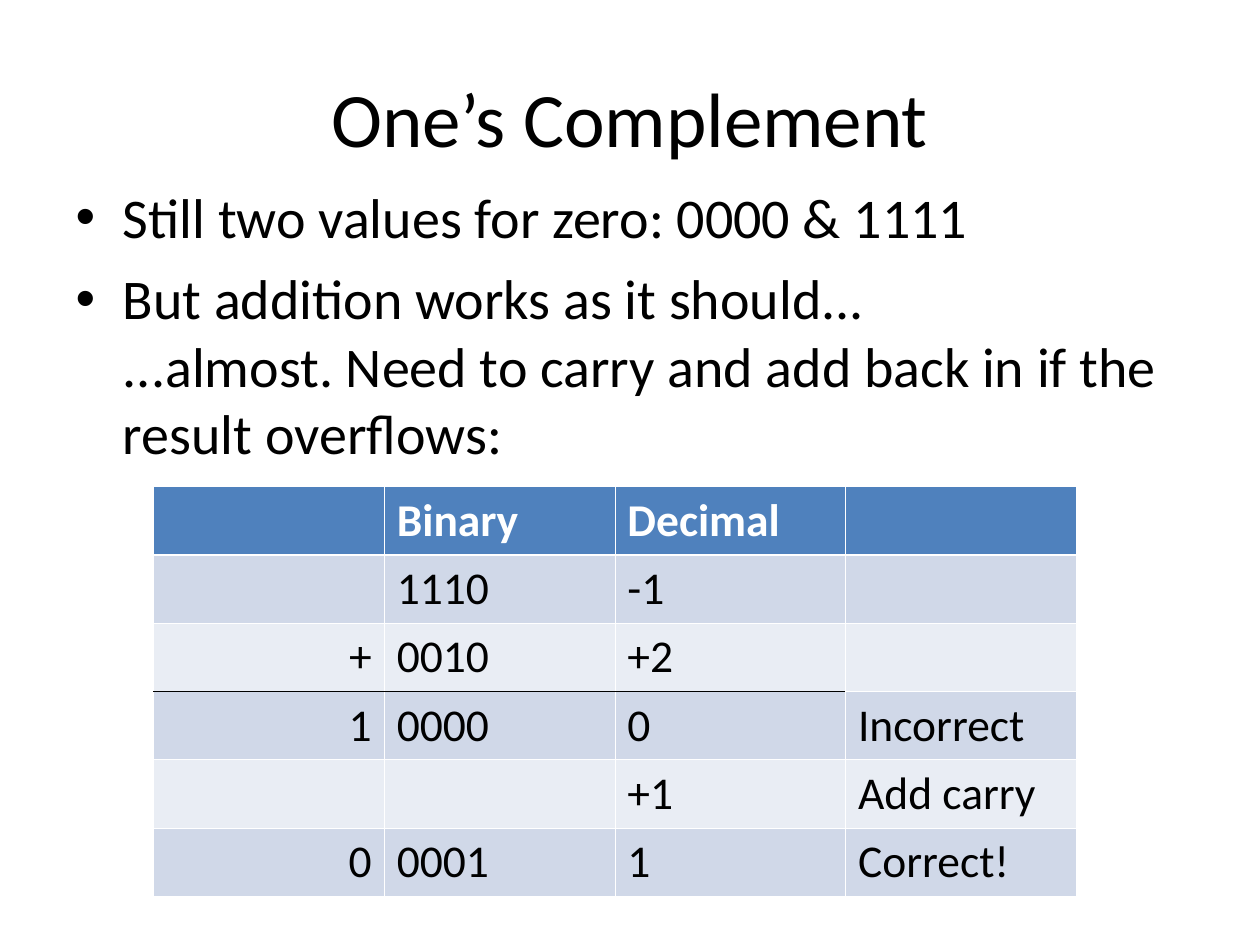
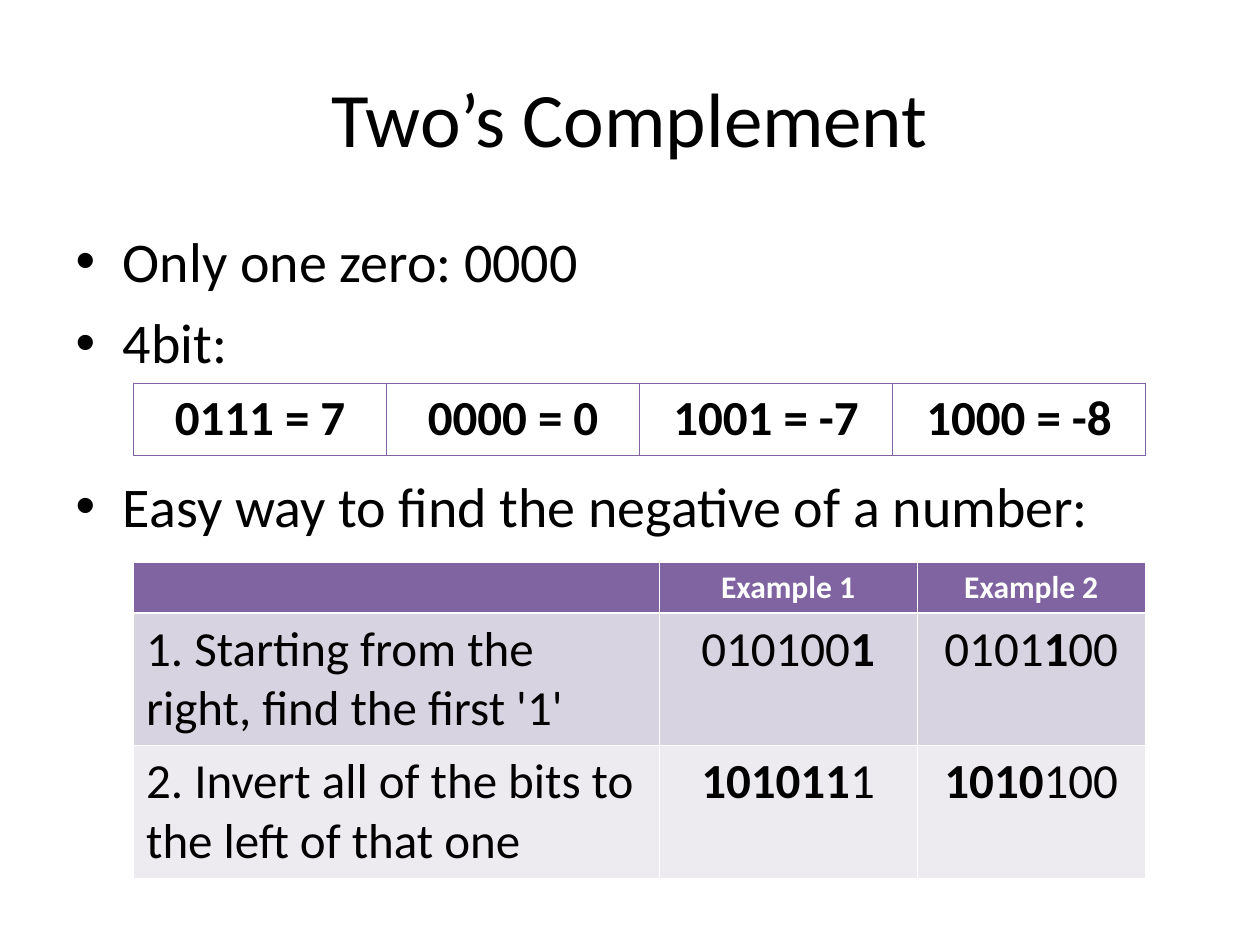
from lxml import etree
from pptx import Presentation
from pptx.dml.color import RGBColor
from pptx.enum.text import MSO_ANCHOR, MSO_AUTO_SIZE, PP_ALIGN as Align
from pptx.oxml.ns import qn
from pptx.util import Inches, Pt

COLORS = {
    "text": "000000", "white": "FFFFFF",
    "blue": "4F81BD", "blue_mid": "D0D8E8", "blue_pale": "E9EDF4",
    "purple": "8064A2", "purple_mid": "D8D3E0", "purple_pale": "EDEAF0",
}
FONT = "Calibri"
THIN, MEDIUM, THICK = 0.45, 0.96, 1.47

presentation = Presentation()
presentation.slide_width, presentation.slide_height = Inches(10), Inches(7.5)
# The slide is a grid of 100 columns and 100 rows
COLUMN = presentation.slide_width / 100
ROW = presentation.slide_height / 100


def style_runs(paragraph, size, color="text", bold=False):
    for run in paragraph.runs:
        run.font.name, run.font.size, run.font.bold = FONT, Pt(size), bold
        run.font.color.rgb = RGBColor.from_string(COLORS[color])


def add_grid(slide, left, top, widths, heights, texts, looks, aligns, borders):
    """Draw a table; looks gives (size, text colour, bold, fill) for each row,
    borders(row, column) gives (colour, width) by side, and *x* marks bold text."""
    table = slide.shapes.add_table(
        len(heights), len(widths), int(left * COLUMN), int(top * ROW),
        int(sum(widths) * COLUMN), int(sum(heights) * ROW)).table
    table.first_row = table.horz_banding = False
    for column, width in zip(table.columns, widths):
        column.width = int(width * COLUMN)
    for r, (height, (size, color, bold, fill)) in enumerate(zip(heights, looks)):
        table.rows[r].height = int(height * ROW)
        for c, align in enumerate(aligns):
            cell = table.cell(r, c)
            sides = borders(r, c)
            properties = cell._tc.get_or_add_tcPr()
            for side in "LRTB":
                line_color, width = sides[side]
                line = etree.SubElement(properties, qn(f"a:ln{side}"), w=str(Pt(width)))
                solid = etree.SubElement(line, qn("a:solidFill"))
                etree.SubElement(solid, qn("a:srgbClr"), val=COLORS[line_color])
            if fill:
                cell.fill.solid()
                cell.fill.fore_color.rgb = RGBColor.from_string(COLORS[fill])
            else:
                cell.fill.background()
            paragraph = cell.text_frame.paragraphs[0]
            paragraph.alignment = align
            pieces = [(i, piece) for i, piece in enumerate(texts[r][c].split("*")) if piece]
            for _, piece in pieces:
                paragraph.add_run().text = piece
            style_runs(paragraph, size, color, bold)
            for run, (i, _) in zip(paragraph.runs, pieces):
                run.font.bold = bold or i % 2 == 1


# Titles and lists: title, top row of the list, (item, space before)
outlines = [
    ("One’s Complement", 18.67, [
        ("Still two values for zero: 0000 & 1111", 0),
        ("But addition works as it should...\v...almost. "
         "Need to carry and add back in if the result overflows:", 8)]),
    ("Two’s Complement", 23.33, [
        ("Only one zero: 0000", 0),
        ("4bit:", 8),
        ("Easy way to find the negative of a number:", 55)]),
]
slides = []
for heading, list_top, items in outlines:
    slide = presentation.slides.add_slide(presentation.slide_layouts[1])
    slides.append(slide)
    title, body = slide.shapes.title, slide.placeholders[1]
    for shape, top, height in ((title, 4, 16.67), (body, list_top, 66)):
        shape.left, shape.width = int(5 * COLUMN), int(90 * COLUMN)
        shape.top, shape.height = int(top * ROW), int(height * ROW)
        shape.text_frame.auto_size = MSO_AUTO_SIZE.NONE
    title.text_frame.text = heading
    title.text_frame.vertical_anchor = MSO_ANCHOR.MIDDLE
    title.text_frame.paragraphs[0].alignment = Align.CENTER
    style_runs(title.text_frame.paragraphs[0], 44)
    body.text_frame.text = "\n".join(item for item, _ in items)
    for paragraph, (_, space) in zip(body.text_frame.paragraphs, items):
        paragraph.space_before = Pt(space)
        style_runs(paragraph, 32)
ones_slide, twos_slide = slides


def white_borders(row, column):
    """White lines, thicker under the header row."""
    sides = dict.fromkeys("LRTB", ("white", THIN))
    if row < 2:
        sides["B" if row == 0 else "T"] = ("white", THICK)
    return sides


# One's complement: addition with a sum line under the second operand
addition = [
    ["", "Binary", "Decimal", ""],
    ["", "1110", "-1", ""],
    ["+", "0010", "+2", ""],
    ["1", "0000", "0", "Incorrect"],
    ["", "", "+1", "Add carry"],
    ["0", "0001", "1", "Correct!"],
]
sum_line = {2: {"B": ("text", THIN)}, 3: {"T": ("text", THIN)}}
addition_looks = [(26, "white", True, "blue")] + [
    (26, "text", False, "blue_mid" if row % 2 else "blue_pale") for row in range(1, 6)]
add_grid(ones_slide, 12.2, 51.47, [18.3] * 4, [7.2] * 6, addition, addition_looks,
         [Align.RIGHT] + [Align.LEFT] * 3,
         lambda row, column: white_borders(row, column)
         | (sum_line.get(row, {}) if column < 3 else {}))

# Two's complement: sample values, then the steps of negation
samples = [["0111 = 7", "0000 = 0", "1001 = -7", "1000 = -8"]]
add_grid(twos_slide, 10.6, 40.53, [20.08] * 4, [7.6], samples,
         [(28, "text", True, None)], [Align.CENTER] * 4,
         lambda row, column: dict.fromkeys("LRT", ("purple", THIN)) | {"B": ("purple", MEDIUM)})

negation = [
    ["", "Example 1", "Example 2"],
    ["1. Starting from the right, find the first '1'", "010100*1*", "0101*1*00"],
    ["2. Invert all of the bits to the left of that one", "*101011*1", "*1010*100"],
]
negation_looks = [(18, "white", True, "purple"), (28, "text", False, "purple_mid"),
                  (28, "text", False, "purple_pale")]
add_grid(twos_slide, 10.6, 59.47, [41.7, 20.5, 18.1], [5.33, 13.87, 13.87], negation,
         negation_looks, [Align.LEFT, Align.CENTER, Align.CENTER], white_borders)

presentation.save("out.pptx")
